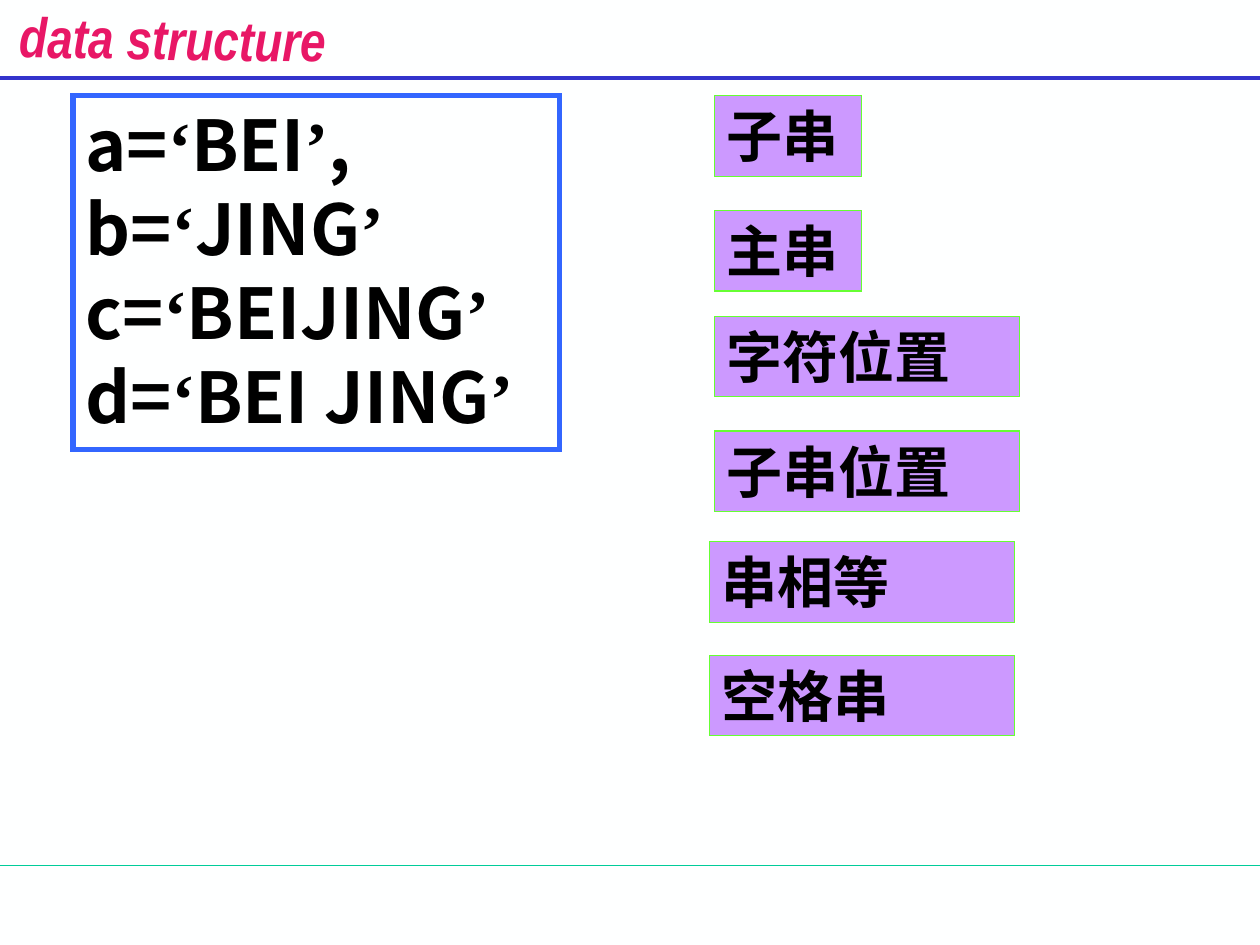
import pptx
import pptx.dml.color
import pptx.enum.shapes
import pptx.enum.text
import pptx.oxml.ns
import pptx.util
from lxml import etree
from pptx.dml.color import RGBColor
from pptx.util import Inches

PAPER = RGBColor(0xFE, 0xFF, 0xFF)
BLACK = RGBColor(0x00, 0x00, 0x00)
TITLE_PINK = RGBColor(0xE8, 0x17, 0x66)
HEADER_BLUE = RGBColor(0x33, 0x33, 0xCC)
FOOTER_GREEN = RGBColor(0x00, 0xCC, 0x99)
FRAME_BLUE = RGBColor(0x33, 0x66, 0xFF)
TERM_FILL = RGBColor(0xCC, 0x99, 0xFF)
TERM_EDGE = RGBColor(0x66, 0xFF, 0x33)

BODY_FONT = "Noto Sans CJK SC"
QUOTE_FONT = "Times New Roman"
TITLE_FONT = "Arial Narrow"
LINE_FACTOR = 1.2

# Variable, string value, text after the closing quote
STRINGS = [("a", "BEI", ","), ("b", "JING", ""),
           ("c", "BEIJING", ""), ("d", "BEI JING", "")]
# Term, left, top, width
TERMS = [("子串", 5.67, 0.76, 1.17), ("主串", 5.67, 1.67, 1.17),
         ("字符位置", 5.67, 2.51, 2.42), ("子串位置", 5.67, 3.42, 2.42),
         ("串相等", 5.63, 4.3, 2.42), ("空格串", 5.63, 5.2, 2.42)]
TERM_HEIGHT = 0.64


def add_span(para, text, font_name, size, color=BLACK):
    span = para.add_run()
    span.text = text
    span.font.name = font_name
    span.font.size = pptx.util.Pt(size)
    span.font.bold = True
    span.font.color.rgb = color
    east_asian = etree.SubElement(span.font._element, pptx.oxml.ns.qn("a:ea"))
    east_asian.set("typeface", font_name)
    return span


def add_rule(page, top, color, width):
    """Draw a line across the whole page."""
    rule = page.shapes.add_connector(
        pptx.enum.shapes.MSO_CONNECTOR.STRAIGHT,
        Inches(0), Inches(top), Inches(10), Inches(top))
    rule.line.color.rgb = color
    rule.line.width = pptx.util.Pt(width)
    etree.SubElement(rule._element.spPr, pptx.oxml.ns.qn("a:effectLst"))


def add_title(page, left, top, width, height):
    box = page.shapes.add_textbox(
        Inches(left), Inches(top), Inches(width), Inches(height))
    box.rotation = 0.8
    frame = box.text_frame
    frame.word_wrap = True
    frame.margin_left = frame.margin_right = Inches(0)
    frame.margin_top = frame.margin_bottom = Inches(0)
    frame.vertical_anchor = pptx.enum.text.MSO_ANCHOR.MIDDLE
    para = frame.paragraphs[0]
    para.alignment = pptx.enum.text.PP_ALIGN.CENTER
    span = add_span(para, "data structure", TITLE_FONT, 32, TITLE_PINK)
    span.font.italic = True


def add_panel(page, left, top, width, height, edge, edge_width, fill=None):
    """Add a bordered rectangle and return its text frame."""
    panel = page.shapes.add_shape(
        pptx.enum.shapes.MSO_SHAPE.RECTANGLE,
        Inches(left), Inches(top), Inches(width), Inches(height))
    panel.shadow.inherit = False
    if fill is None:
        panel.fill.background()
    else:
        panel.fill.solid()
        panel.fill.fore_color.rgb = fill
    panel.line.color.rgb = edge
    panel.line.width = pptx.util.Pt(edge_width)
    corner = etree.SubElement(panel.line._ln, pptx.oxml.ns.qn("a:miter"))
    corner.set("lim", "800000")
    frame = panel.text_frame
    frame.word_wrap = True
    frame.vertical_anchor = pptx.enum.text.MSO_ANCHOR.TOP
    frame.margin_top = frame.margin_bottom = Inches(0.05)
    return frame


def style_line(para, size):
    para.alignment = pptx.enum.text.PP_ALIGN.LEFT
    para.line_spacing = pptx.util.Pt(size * LINE_FACTOR)


def add_string_examples(page, left, top, width, height):
    size = 40
    frame = add_panel(page, left, top, width, height, FRAME_BLUE, 3)
    for index, (name, value, ending) in enumerate(STRINGS):
        para = frame.add_paragraph() if index else frame.paragraphs[0]
        style_line(para, size)
        pieces = [(f"{name}=", BODY_FONT), ("‘", QUOTE_FONT),
                  (value, BODY_FONT), ("’", QUOTE_FONT), (ending, BODY_FONT)]
        for text, font_name in pieces:
            if text:
                add_span(para, text, font_name, size)


def add_term(page, term, left, top, width, height):
    size = 32
    frame = add_panel(page, left, top, width, height,
                      TERM_EDGE, 0.75, TERM_FILL)
    para = frame.paragraphs[0]
    style_line(para, size)
    add_span(para, term, BODY_FONT, size)


def main():
    deck = pptx.Presentation()
    deck.slide_width, deck.slide_height = Inches(10), Inches(7.5)
    page = deck.slides.add_slide(deck.slide_layouts[6])
    page.background.fill.solid()
    page.background.fill.fore_color.rgb = PAPER

    add_rule(page, 6.87, FOOTER_GREEN, 1)
    add_rule(page, 0.62, HEADER_BLUE, 2.25)
    add_title(page, 0.02, 0.03, 2.7, 0.54)
    add_string_examples(page, 0.58, 0.76, 3.86, 2.81)
    for term, left, top, width in TERMS:
        add_term(page, term, left, top, width, TERM_HEIGHT)
    deck.save("out.pptx")


if __name__ == "__main__":
    main()
